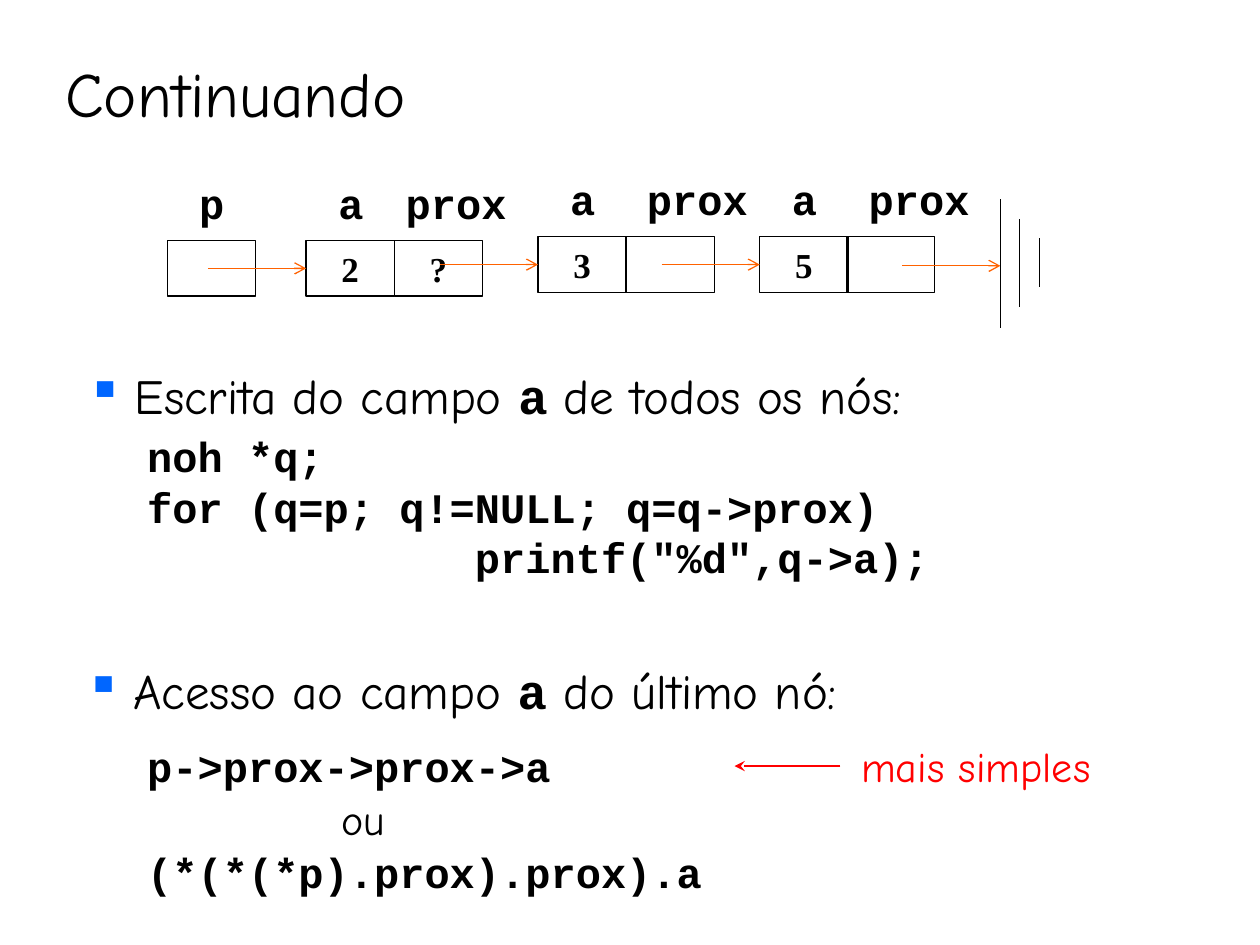
from dataclasses import dataclass

from lxml import etree
from pptx import Presentation
from pptx.dml.color import RGBColor
from pptx.enum import shapes, text
from pptx.oxml import ns
from pptx.util import Inches, Pt


@dataclass(frozen=True)
class Theme:
    ink: str = "000000"
    link: str = "FF6200"
    note: str = "FF0000"
    bullet: str = "0066FF"
    hand: str = "Comic Neue"
    code: str = "Courier New"
    value: str = "Times New Roman"
    title_size: int = 36
    topic_size: int = 28
    code_size: int = 24
    value_size: int = 20


theme = Theme()
prs = Presentation()
prs.slide_width, prs.slide_height = Inches(10), Inches(7.5)
slide = prs.slides.add_slide(prs.slide_layouts[6])


def write(content, at=None, cell=None, font=theme.code, size=theme.code_size, color=theme.ink,
          bold=False, align=text.PP_ALIGN.LEFT, anchor=text.MSO_ANCHOR.TOP, bullet=False):
    """Write a string, or a list of (words, font, bold), in a new box or a given cell."""
    box = cell or slide.shapes.add_textbox(*map(Inches, at))
    frame = box.text_frame
    frame.word_wrap = True
    frame.vertical_anchor = anchor
    paragraph = frame.paragraphs[0]
    paragraph.alignment = align
    if bullet:
        props = paragraph._p.get_or_add_pPr()
        props.set("marL", str(Inches(0.38)))
        props.set("indent", str(-Inches(0.38)))
        bullet_color = etree.SubElement(props, ns.qn("a:buClr"))
        etree.SubElement(bullet_color, ns.qn("a:srgbClr"), val=theme.bullet)
        etree.SubElement(props, ns.qn("a:buChar"), char="▪")
    pieces = [(content, font, bold)] if isinstance(content, str) else content
    for words, face, heavy in pieces:
        for number, line in enumerate(words.split("\n")):
            if number:
                paragraph.add_line_break()
            run = paragraph.add_run()
            run.text = line
            run.font.name, run.font.size, run.font.bold = face, Pt(size), heavy
            run.font.color.rgb = RGBColor.from_string(color)


def draw_line(start, end, color=theme.ink, width=0.75, head=None):
    line = slide.shapes.add_connector(
        shapes.MSO_CONNECTOR.STRAIGHT, *map(Inches, (*start, *end)))
    line.line.color.rgb = RGBColor.from_string(color)
    line.line.width = Pt(width)
    if head:
        etree.SubElement(line.line._get_or_add_ln(), ns.qn("a:tailEnd"), type=head)
    etree.SubElement(line._element.spPr, ns.qn("a:effectLst"))
    return line


write("Continuando", (0.42, 0.25, 9.08, 0.83), font=theme.hand, size=theme.title_size,
      anchor=text.MSO_ANCHOR.BOTTOM)

# Linked list: the pointer p and three nodes with fields a and prox
CELL_W, CELL_H = 0.7, 0.44
cells = {}
for name, left, top, value in (
    ("p", 1.33, 1.91, ""),
    ("a1", 2.43, 1.91, "2"), ("prox1", 3.13, 1.91, "?"),
    ("a2", 4.27, 1.88, "3"), ("prox2", 4.97, 1.88, ""),
    ("a3", 6.03, 1.88, "5"), ("prox3", 6.72, 1.88, ""),
):
    cell = slide.shapes.add_shape(
        shapes.MSO_SHAPE.RECTANGLE, *map(Inches, (left, top, CELL_W, CELL_H)))
    cell.shadow.inherit = False
    cell.fill.background()
    cell.line.color.rgb = RGBColor.from_string(theme.ink)
    cell.line.width = Pt(0.75)
    if value:
        write(value, cell=cell, font=theme.value, size=theme.value_size, bold=True,
              align=text.PP_ALIGN.CENTER, anchor=text.MSO_ANCHOR.MIDDLE)
    cells[name] = cell

for label, left, top, width in (
    ("p", 1.33, 1.36, 0.7),
    ("a", 2.51, 1.36, 0.55), ("prox", 3.05, 1.36, 1.14),
    ("a", 4.35, 1.33, 0.55), ("prox", 4.9, 1.33, 1.27),
    ("a", 6.11, 1.33, 0.55), ("prox", 6.66, 1.33, 1.27),
):
    write(label, (left, top, width, 0.5), bold=True, align=text.PP_ALIGN.CENTER)

LINK_LENGTH = 0.78
for left, y, target in ((1.65, 2.13, "a1"), (3.49, 2.1, "a2"), (5.25, 2.1, "a3"),
                        (7.16, 2.11, None)):
    link = draw_line((left, y), (left + LINK_LENGTH, y), theme.link, head="arrow")
    if target:
        link.end_connect(cells[target], 1)

# End of the list, drawn as an electrical ground
for x, top, bottom in ((7.94, 1.58, 2.6), (8.09, 1.74, 2.44), (8.25, 1.89, 2.28)):
    draw_line((x, top), (x, bottom))

for before, after, left, top in (
    ("Escrita do campo ", " de todos os nós:", 0.59, 2.85),
    ("Acesso ao campo ", " do último nó:", 0.58, 5.19),
):
    write([(before, theme.hand, False), ("a", theme.code, True), (after, theme.hand, False)],
          (left, top, 8.19, 0.64), size=theme.topic_size, bullet=True)

loop = 'noh *q;\nfor (q=p; q!=NULL; q=q->prox)\n             printf("%d",q->a);'
for code, top, height in ((loop, 3.37, 1.3), ("p->prox->prox->a", 5.83, 0.5),
                          ("(*(*(*p).prox).prox).a", 6.67, 0.5)):
    write(code, (1.07, top, 7.68, height), bold=True)

write("ou", (2.42, 6.25, 0.92, 0.5), font=theme.hand, align=text.PP_ALIGN.CENTER)
write("mais simples", (6.33, 5.83, 2.83, 0.5), font=theme.hand, color=theme.note,
      align=text.PP_ALIGN.CENTER)
draw_line((6.67, 6.08), (5.83, 6.08), theme.note, 1.5, "stealth")

prs.save("out.pptx")
